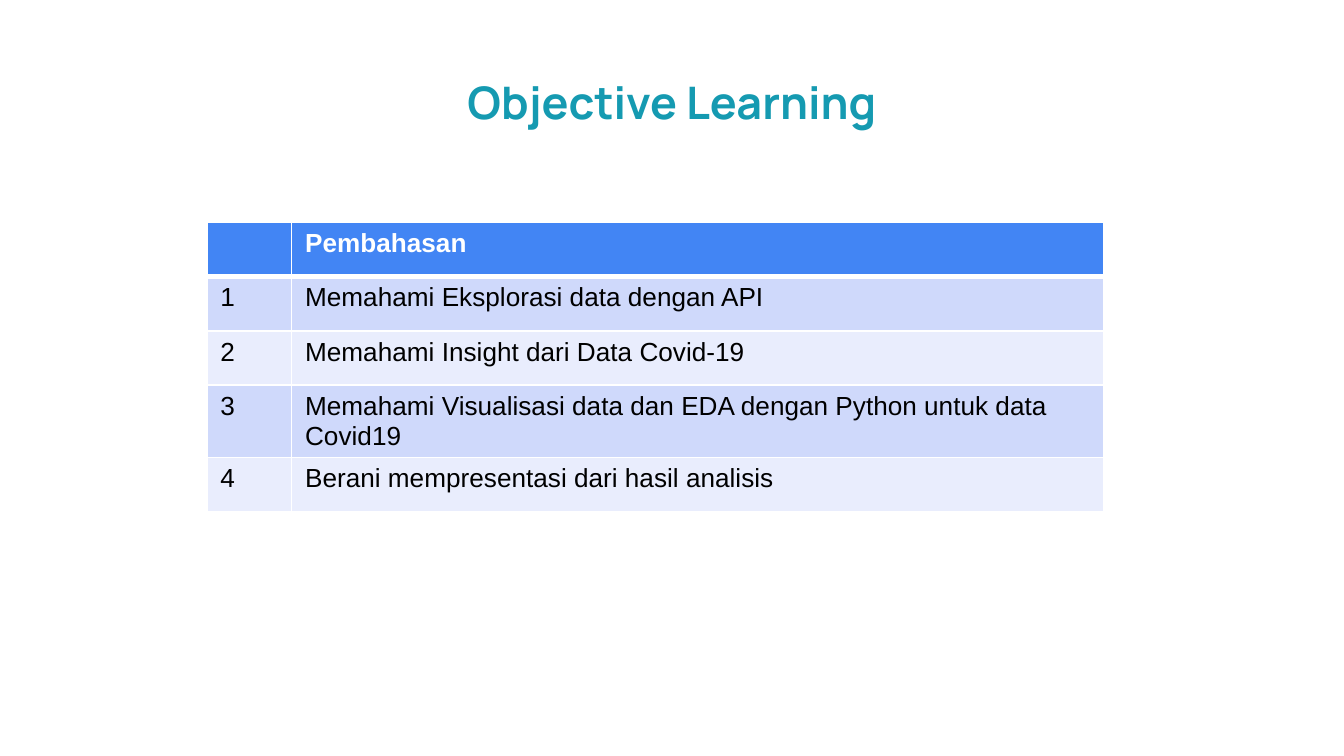
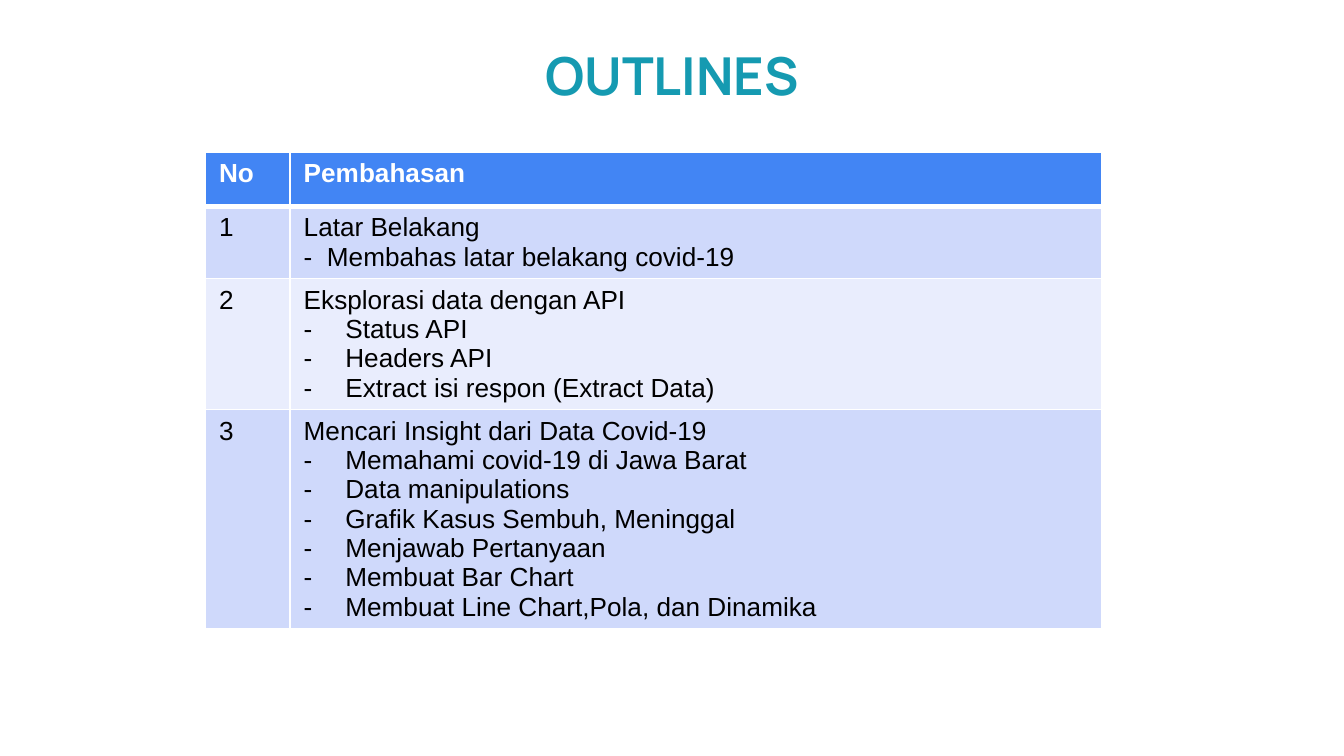
import pptx
import pptx.util
import pptx.dml.color
import pptx.enum.text
import pptx.oxml
import pptx.oxml.ns

RGBColor = pptx.dml.color.RGBColor
Inches, Pt, Cm = pptx.util.Inches, pptx.util.Pt, pptx.util.Cm
PP_ALIGN, MSO_ANCHOR = pptx.enum.text.PP_ALIGN, pptx.enum.text.MSO_ANCHOR

TEAL = RGBColor(0x15, 0x9A, 0xB1)
BLUE = RGBColor(0x42, 0x85, 0xF4)
BANDS = (RGBColor(0xCF, 0xD9, 0xFB), RGBColor(0xE9, 0xED, 0xFD))
WHITE = RGBColor(0xFF, 0xFF, 0xFF)
BLACK = RGBColor(0, 0, 0)

WIDTH = 10
HEIGHT = WIDTH * 9 / 16
TITLE_W, TITLE_H = 5.48, 0.5
COLUMNS = (0.63, 6.04)
ROW_H = Cm(1.03)
INDENT = 0.31

OBJECTIVES = [
    ("", ["Pembahasan"]),
    ("1", ["Memahami Eksplorasi data dengan API"]),
    ("2", ["Memahami Insight dari Data Covid-19"]),
    ("3", ["Memahami Visualisasi data dan EDA dengan Python untuk data Covid19"]),
    ("4", ["Berani mempresentasi dari hasil analisis"]),
]
OUTLINES = [
    ("No", ["Pembahasan"]),
    ("1", ["Latar Belakang", "-  Membahas latar belakang covid-19"]),
    ("2", ["Eksplorasi data dengan API", "Status API", "Headers API",
           "Extract isi respon (Extract Data)"]),
    ("3", ["Mencari Insight dari Data Covid-19", "Memahami covid-19 di Jawa Barat",
           "Data manipulations", "Grafik Kasus Sembuh, Meninggal",
           "Menjawab Pertanyaan", "Membuat Bar Chart",
           "Membuat Line Chart,Pola, dan Dinamika"]),
]


def write(p, text, font="Arial", size=14, color=BLACK, bold=False, align=None):
    """Write one formatted run into a paragraph."""
    r = p.add_run()
    r.text = text
    r.font.name, r.font.size, r.font.bold = font, Pt(size), bold
    r.font.color.rgb = color
    p.alignment = align


def add_dash(p):
    """Give a paragraph a hanging dash bullet."""
    ns = pptx.oxml.ns.nsdecls("a")
    pPr = p._p.get_or_add_pPr()
    pPr.set("marL", str(Inches(INDENT)))
    pPr.set("indent", str(-Inches(INDENT)))
    for xml in (f'<a:buClr {ns}><a:srgbClr val="{BLACK}"/></a:buClr>',
                f'<a:buFont {ns} typeface="Arial"/>',
                f'<a:buChar {ns} char="-"/>'):
        pPr.append(pptx.oxml.parse_xml(xml))


def set_borders(cell, bottom):
    """Draw white borders round a cell, with its own bottom width."""
    tcPr = cell._tc.get_or_add_tcPr()
    widths = {"lnL": 1, "lnR": 1, "lnT": 1, "lnB": bottom}
    for i, (side, width) in enumerate(widths.items()):
        tcPr.insert(i, pptx.oxml.parse_xml(
            f'<a:{side} {pptx.oxml.ns.nsdecls("a")} w="{Pt(width)}">'
            f'<a:solidFill><a:srgbClr val="{WHITE}"/></a:solidFill></a:{side}>'))


def add_title(s, text, top, size):
    """Place the centred title at the given height."""
    sp = s.shapes.title
    sp.left, sp.top = Inches((WIDTH - TITLE_W) / 2), Inches(top)
    sp.width, sp.height = Inches(TITLE_W), Inches(TITLE_H)
    tf = sp.text_frame
    tf.margin_left = tf.margin_right = Inches(0.07)
    tf.margin_top = tf.margin_bottom = Inches(0.04)
    tf.vertical_anchor = MSO_ANCHOR.TOP
    tf.auto_size = pptx.enum.text.MSO_AUTO_SIZE.NONE
    p = tf.paragraphs[0]
    p.line_spacing = 0.93
    write(p, text, font="Manrope", size=size, color=TEAL, bold=True,
          align=PP_ALIGN.CENTER)


def fill_cell(cell, lines, header, fill):
    """Fill a cell with a first line and dashed lines below it."""
    cell.fill.solid()
    cell.fill.fore_color.rgb = fill
    set_borders(cell, 3 if header else 1)
    tf = cell.text_frame
    for i, line in enumerate(lines):
        p = tf.add_paragraph() if i else tf.paragraphs[0]
        if line:
            write(p, line, color=WHITE if header else BLACK, bold=header)
        if i and not line.startswith("-"):
            add_dash(p)


def add_topics(s, rows, left, top, height):
    """Place the numbered table of topics, whose rows grow with their text."""
    frame = s.shapes.add_table(len(rows), len(COLUMNS), Inches(left), Inches(top),
                               Inches(sum(COLUMNS)), Inches(height))
    table = frame.table
    for column, width in zip(table.columns, COLUMNS):
        column.width = Inches(width)
    for i, (number, lines) in enumerate(rows):
        table.rows[i].height = ROW_H
        fill = BANDS[(i - 1) % 2] if i else BLUE
        for j, content in enumerate(([number], lines)):
            fill_cell(table.cell(i, j), content, i == 0, fill)
    frame.height = Inches(height)


def add_topic_slide(prs, title, title_top, title_size, rows, left, top, height):
    """Add a slide with a title over a table of topics."""
    s = prs.slides.add_slide(prs.slide_layouts[5])
    add_title(s, title, title_top, title_size)
    add_topics(s, rows, left, top, height)


def main():
    """Build and save the presentation."""
    prs = pptx.Presentation()
    prs.slide_width, prs.slide_height = Inches(WIDTH), Inches(HEIGHT)
    add_topic_slide(prs, "Objective Learning", 0.55, 24, OBJECTIVES, 1.54, 1.65, 2.19)
    add_topic_slide(prs, "OUTLINES", 0.32, 28, OUTLINES, 1.53, 1.13, 3.74)
    prs.save("out.pptx")


if __name__ == "__main__":
    main()
